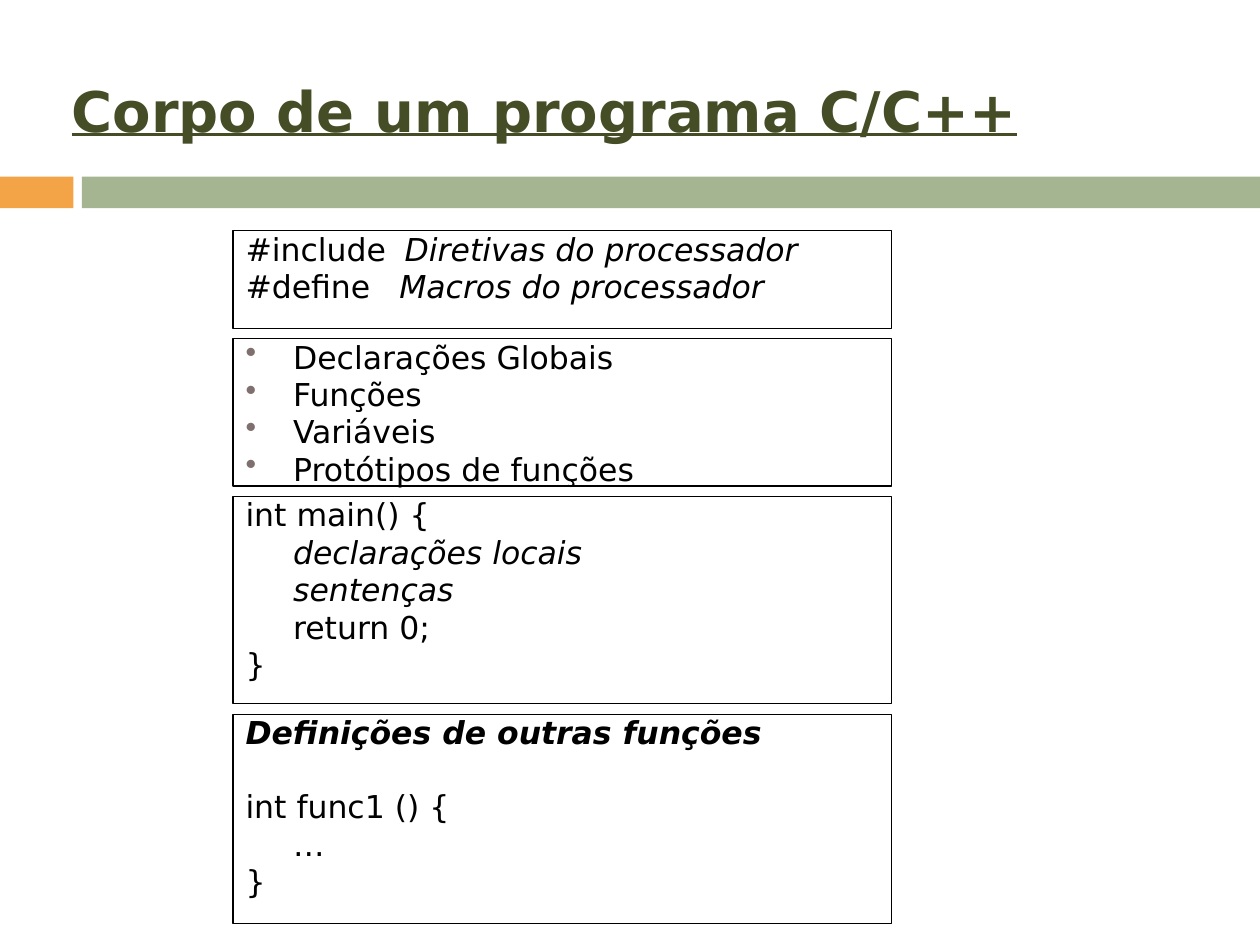
from dataclasses import dataclass

from lxml import etree
from pptx import Presentation
from pptx.dml.color import RGBColor
from pptx.enum.shapes import MSO_SHAPE
from pptx.enum.text import MSO_ANCHOR, PP_ALIGN
from pptx.oxml.ns import qn
from pptx.util import Cm, Pt

RECT = MSO_SHAPE.RECTANGLE
LEFT = PP_ALIGN.LEFT
TOP, MIDDLE = MSO_ANCHOR.TOP, MSO_ANCHOR.MIDDLE

FONT = "DejaVu Sans"
BLACK = RGBColor(0x00, 0x00, 0x00)
OLIVE = RGBColor(0x44, 0x4D, 0x26)
ORANGE = RGBColor(0xF3, 0xA4, 0x47)
SAGE = RGBColor(0xA5, 0xB5, 0x92)
BULLET = RGBColor(0x7F, 0x6F, 0x6F)

BOX_LEFT, BOX_WIDTH = Cm(4.7), Cm(13.28)
INDENT = Cm(0.96)
LINE_GAP = 4.1


@dataclass
class Line:
    code: str = ""
    italic: str = ""
    bold: bool = False
    bullet: bool = False
    indent: bool = True
    tab: float = 0  # tab stop in cm
    before: float = LINE_GAP


@dataclass
class Box:
    top: float
    height: float
    lines: list[Line]


BOXES = [
    Box(4.65, 1.98, [
        Line("#include\t", "Diretivas do processador", indent=False, tab=3.21),
        Line("#define\t", "Macros do processador", indent=False, tab=3.1),
    ]),
    Box(6.83, 2.97, [
        Line(text, bullet=True)
        for text in ("Declarações Globais", "Funções", "Variáveis", "Protótipos de funções")
    ]),
    Box(10.01, 4.17, [
        Line("int main() {"),
        Line("\t", "declarações locais"),
        Line(italic="\tsentenças"),
        Line("\treturn 0;"),
        Line("}"),
    ]),
    Box(14.4, 4.22, [
        Line(italic="Definições de outras funções", bold=True),
        Line("int func1 () {", before=25),
        Line("\t…"),
        Line("}"),
    ]),
]


def add_run(p, text: str, size: float = 18, color: RGBColor = BLACK,
            bold: bool = False, italic: bool = False, underline: bool = False) -> None:
    r = p.add_run()
    r.text = text
    f = r.font
    f.name, f.size, f.bold, f.italic, f.underline = FONT, Pt(size), bold, italic, underline
    f.color.rgb = color


def add_bar(s, left: float, width: float, color: RGBColor) -> None:
    bar = s.shapes.add_shape(RECT, Cm(left), Cm(3.56), Cm(width), Cm(0.64))
    bar.shadow.inherit = False
    bar.fill.solid()
    bar.fill.fore_color.rgb = color
    bar.line.fill.background()


def format_paragraph(p, line: Line, first: bool) -> None:
    """Set the bullet, tab stop, indent and spacing of a paragraph."""
    pPr = p._p.get_or_add_pPr()
    if line.bullet:
        color = etree.SubElement(pPr, qn("a:buClr"))
        etree.SubElement(color, qn("a:srgbClr"), val=str(BULLET))
        etree.SubElement(pPr, qn("a:buChar"), char="•")
    if line.tab:
        tabs = etree.SubElement(pPr, qn("a:tabLst"))
        etree.SubElement(tabs, qn("a:tab"), pos=str(Cm(line.tab)), algn="l")
    if line.indent:
        pPr.set("marL", str(INDENT))
        pPr.set("indent", str(-INDENT))
    p.alignment = LEFT
    p.line_spacing = 0.8
    p.space_before = Pt(0 if first else line.before)


def add_box(s, box: Box) -> None:
    sp = s.shapes.add_shape(RECT, BOX_LEFT, Cm(box.top), BOX_WIDTH, Cm(box.height))
    sp.shadow.inherit = False
    sp.fill.background()
    sp.line.color.rgb = BLACK
    sp.line.width = Pt(0.75)
    tf = sp.text_frame
    tf.word_wrap = True
    tf.vertical_anchor = TOP
    for i, line in enumerate(box.lines):
        p = tf.add_paragraph() if i else tf.paragraphs[0]
        format_paragraph(p, line, first=i == 0)
        if line.code:
            add_run(p, line.code, bold=line.bold)
        if line.italic:
            add_run(p, line.italic, bold=line.bold, italic=True)


def set_title(s, text: str) -> None:
    title = s.shapes.title
    title.left, title.top, title.width, title.height = Cm(1.19), Cm(1.27), Cm(22.86), Cm(1.88)
    tf = title.text_frame
    tf.vertical_anchor = MIDDLE
    p = tf.paragraphs[0]
    p.alignment = LEFT
    add_run(p, text, size=32, color=OLIVE, bold=True, underline=True)


def main() -> None:
    prs = Presentation()
    prs.slide_width, prs.slide_height = Cm(25.4), Cm(19.05)
    s = prs.slides.add_slide(prs.slide_layouts[5])
    add_bar(s, 0, 1.48, ORANGE)
    add_bar(s, 1.65, 23.75, SAGE)
    set_title(s, "Corpo de um programa C/C++")
    for box in BOXES:
        add_box(s, box)
    prs.save("out.pptx")


if __name__ == "__main__":
    main()
